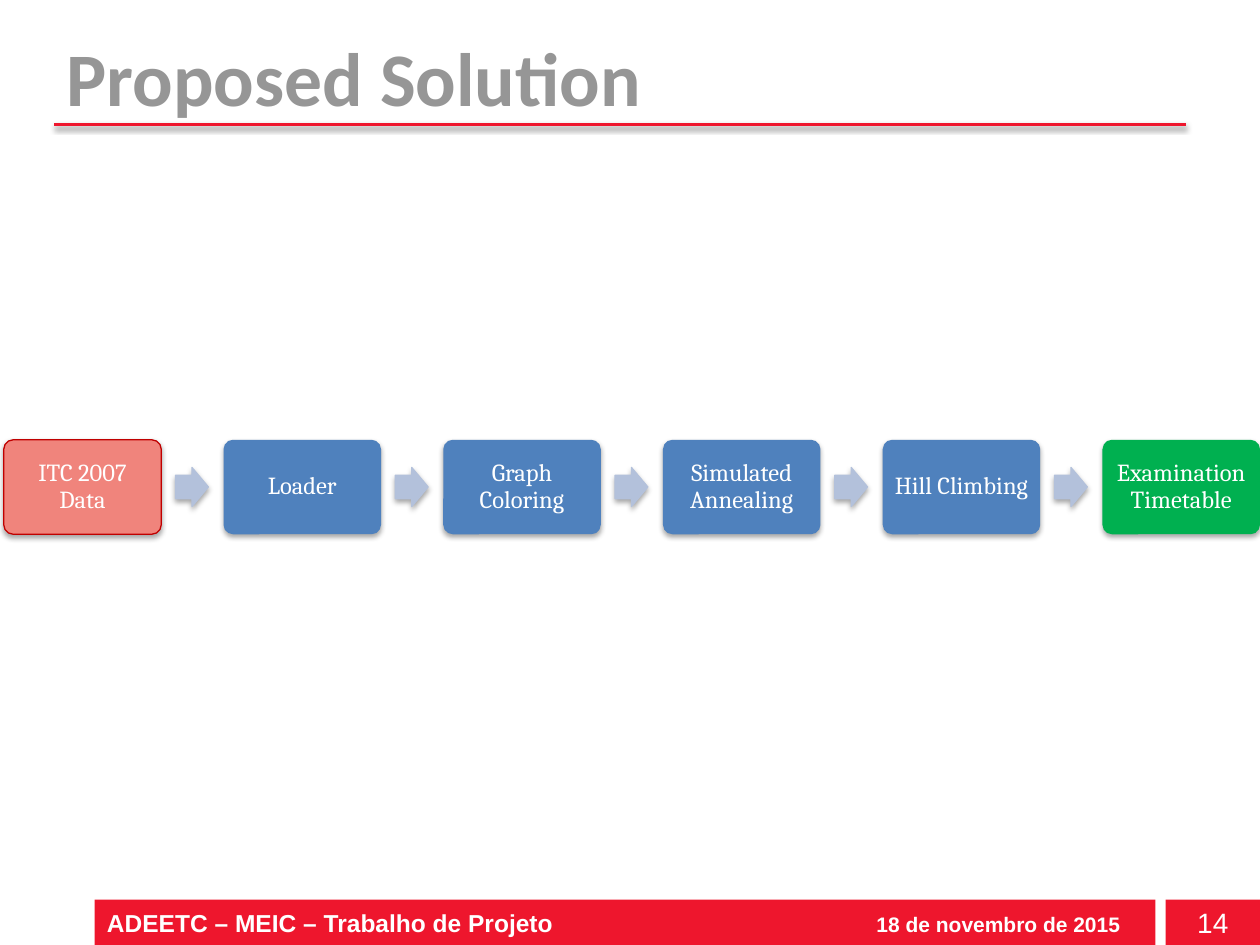
import pptx
import pptx.util
import pptx.dml.color
import pptx.enum.shapes
import pptx.enum.text
import pptx.oxml
import pptx.oxml.ns
import lxml.etree

Inches, Pt = pptx.util.Inches, pptx.util.Pt
SHAPE = pptx.enum.shapes.MSO_SHAPE
ALIGN = pptx.enum.text.PP_ALIGN
RED, WHITE, BLUE = "EE162D", "FFFFFF", "4F81BD"
STEPS = [
    ("ITC 2007 Data", "F0847C", "C00000"),
    ("Loader", BLUE, None),
    ("Graph Coloring", BLUE, None),
    ("Simulated Annealing", BLUE, None),
    ("Hill Climbing", BLUE, None),
    ("Examination Timetable", "00B050", None),
]


def rgb(value):
    """Turn a hex string into a colour."""
    return pptx.dml.color.RGBColor.from_string(value)


def add_shadow(s, alpha, distance):
    """Give a shape or connector a soft shadow that falls straight down."""
    props = s._element.spPr
    for old in props.findall(pptx.oxml.ns.qn("a:effectLst")):
        props.remove(old)
    effects = lxml.etree.SubElement(props, pptx.oxml.ns.qn("a:effectLst"))
    effects.append(pptx.oxml.parse_xml(
        f'<a:outerShdw {pptx.oxml.ns.nsdecls("a")} blurRad="{Pt(3.1)}" '
        f'dist="{Pt(distance)}" dir="5400000" rotWithShape="0">'
        f'<a:srgbClr val="000000"><a:alpha val="{alpha * 1000}"/></a:srgbClr>'
        '</a:outerShdw>'))


def add_block(slide, kind, box, fill, line=None, adjustments=()):
    """Add a filled preset shape without a shadow."""
    s = slide.shapes.add_shape(kind, *map(Inches, box))
    s.shadow.inherit = False
    s.fill.solid()
    s.fill.fore_color.rgb = rgb(fill)
    if line:
        s.line.color.rgb = rgb(line)
        s.line.width = Pt(0.75)
    else:
        s.line.fill.background()
    for i, value in enumerate(adjustments):
        s.adjustments[i] = value
    return s


def write(s, text, size, font, color=WHITE, bold=False, align=ALIGN.LEFT):
    """Write one vertically centred paragraph and return it."""
    tf = s.text_frame
    tf.word_wrap = True
    tf.vertical_anchor = pptx.enum.text.MSO_ANCHOR.MIDDLE
    p = tf.paragraphs[0]
    p.alignment = align
    r = p.add_run()
    r.text = text
    r.font.size = Pt(size)
    r.font.name = font
    r.font.bold = bold
    r.font.color.rgb = rgb(color)
    return p


def add_header(slide, left, top, width, height):
    """Add the title and the red rule beneath it."""
    s = slide.shapes.add_textbox(*map(Inches, (left, top, width, height)))
    write(s, "Proposed Solution", 43.2, "Calibri", "969696", True)
    y = Inches(top + height - 0.01)
    rule = slide.shapes.add_connector(
        pptx.enum.shapes.MSO_CONNECTOR.STRAIGHT,
        Inches(left), y, Inches(left + width - 0.02), y)
    rule.line.color.rgb = rgb(RED)
    rule.line.width = Pt(2)
    add_shadow(rule, 38, 1.6)


def add_flow(slide, left, top, width, height):
    """Add the row of steps with an arrow in each gap."""
    step_w, arrow_w, arrow_h = 1.25, 0.26, 0.31
    pitch = (width - step_w) / (len(STEPS) - 1)
    for i, (text, fill, line) in enumerate(STEPS):
        x = left + i * pitch
        if i:
            box = (x - 0.38, top + (height - arrow_h) / 2, arrow_w, arrow_h)
            arrow = add_block(slide, SHAPE.RIGHT_ARROW, box,
                              "B3C1DB", "B3C1DB", (0.6, 0.5))
            add_shadow(arrow, 35, 1.8)
        s = add_block(slide, SHAPE.ROUNDED_RECTANGLE,
                      (x, top, step_w, height), fill, line, (0.1,))
        add_shadow(s, 35, 1.8)
        tf = s.text_frame
        tf.margin_left = tf.margin_right = Inches(0.06)
        tf.margin_top = tf.margin_bottom = Inches(0.06)
        p = write(s, text, 14, "Cambria", align=ALIGN.CENTER)
        p.line_spacing = 0.9


def add_footer(slide, left, top, width, height):
    """Add the red footer bar, the date and the page number."""
    number_w, gap = 0.75, 0.08
    bar = add_block(slide, SHAPE.RECTANGLE,
                    (left, top, width - number_w - gap, height), RED)
    write(bar, "ADEETC – MEIC – Trabalho de Projeto", 14, "Arial", bold=True)
    date = slide.shapes.add_textbox(
        Inches(6.81), Inches(top + 0.15), Inches(2.23), Inches(0.08))
    write(date, "18 de novembro de 2015", 12, "Arial", bold=True,
          align=ALIGN.CENTER)
    page = add_block(slide, SHAPE.RECTANGLE,
                     (left + width - number_w, top, number_w, height), RED)
    write(page, "14", 16, "Arial", align=ALIGN.CENTER)


def main():
    """Build the slide and save it."""
    prs = pptx.Presentation()
    prs.slide_width, prs.slide_height = Inches(10), Inches(7.5)
    slide = prs.slides.add_slide(prs.slide_layouts[6])
    add_header(slide, 0.43, 0.21, 9, 0.79)
    add_flow(slide, 0.03, 3.49, 9.97, 0.75)
    add_footer(slide, 0.75, 7.14, 9.25, 0.36)
    prs.save("out.pptx")


if __name__ == "__main__":
    main()
